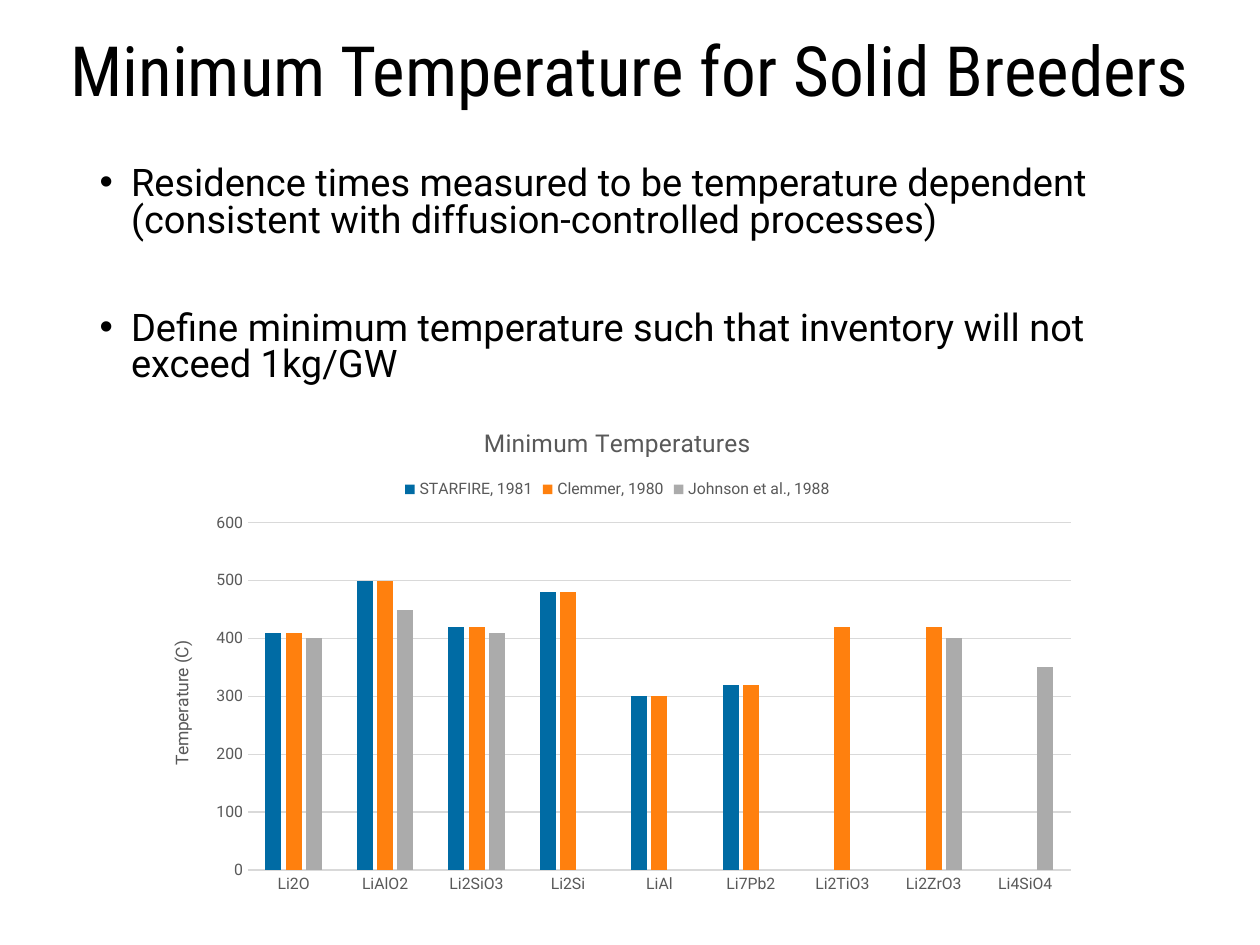
from lxml.etree import SubElement
from pptx import Presentation
from pptx.chart.data import CategoryChartData
from pptx.dml.color import RGBColor
from pptx.enum.chart import XL_CHART_TYPE as ChartType, XL_LEGEND_POSITION as LegendPosition, XL_TICK_MARK as TickMark
from pptx.enum.text import MSO_ANCHOR as Anchor, MSO_AUTO_SIZE as AutoSize, PP_ALIGN as Align
from pptx.oxml.ns import qn
from pptx.util import Inches, Pt

GREY, RULE = "595959", "D9D9D9"


def color(value):
    return RGBColor.from_string(value)


def write(frame, *texts, size, font="Roboto", fill="000000", align=None,
          spacing=None, gap=0, bullet=None):
    """Fill a text frame with one paragraph per text; gap separates paragraphs."""
    for index, text in enumerate(texts):
        paragraph = frame.add_paragraph() if index else frame.paragraphs[0]
        run = paragraph.add_run()
        run.text = text
        paragraph.alignment = align
        paragraph.line_spacing = spacing
        paragraph.space_before = Pt(gap if index else 0)
        if bullet:
            properties = paragraph._p.get_or_add_pPr()
            properties.set("marL", str(Inches(0.25)))
            properties.set("indent", str(Inches(-0.25)))
            SubElement(properties, qn("a:buFont"), typeface="Arial")
            SubElement(properties, qn("a:buChar"), char=bullet)
        run.font.name, run.font.size, run.font.bold = font, Pt(size), False
        run.font.color.rgb = color(fill)


presentation = Presentation()
presentation.slide_width, presentation.slide_height = Inches(10), Inches(7.5)
slide = presentation.slides.add_slide(presentation.slide_layouts[1])

# Title and bullets
title, body = slide.placeholders
title.left, title.top, title.width, title.height = 0, 0, Inches(10), Inches(1.17)
body.left, body.top, body.width, body.height = map(Inches, (0.69, 1.28, 8.62, 2.08))
for placeholder, anchor in ((title, Anchor.MIDDLE), (body, Anchor.TOP)):
    placeholder.text_frame.auto_size = AutoSize.NONE
    placeholder.text_frame.word_wrap = True
    placeholder.text_frame.vertical_anchor = anchor
write(title.text_frame, "Minimum Temperature for Solid Breeders",
      size=39.6, font="Roboto Condensed", align=Align.CENTER, spacing=0.9)
write(body.text_frame,
      "Residence times measured to be temperature dependent (consistent with diffusion-controlled processes)",
      "Define minimum temperature such that inventory will not exceed 1kg/GW",
      size=21.7, align=Align.LEFT, spacing=0.8, gap=41, bullet="•")

# Chart
series_table = [
    ("STARFIRE, 1981", "006BA4", (410, 500, 420, 480, 300, 320, None, None, None)),
    ("Clemmer, 1980", "FF800E", (410, 500, 420, 480, 300, 320, 420, 420, None)),
    ("Johnson et al., 1988", "ABABAB", (400, 450, 410, None, None, None, None, 400, 350)),
]
data = CategoryChartData()
data.categories = ["Li2O", "LiAlO2", "Li2SiO3", "Li2Si", "LiAl", "Li7Pb2",
                   "Li2TiO3", "Li2ZrO3", "Li4SiO4"]
for name, _, values in series_table:
    data.add_series(name, values)
chart = slide.shapes.add_chart(ChartType.COLUMN_CLUSTERED, Inches(1.15), Inches(3.21),
                               Inches(7.5), Inches(3.96), data).chart
chart.font.name, chart.font.size = "Roboto", Pt(10)
chart.has_title = True
write(chart.chart_title.text_frame, "Minimum Temperatures", size=14, fill=GREY)
chart.chart_title.include_in_layout = False

chart.has_legend = True
chart.legend.position = LegendPosition.TOP
chart.legend.include_in_layout = False

plot = chart.plots[0]
plot.gap_width, plot.overlap, plot.vary_by_categories = 219, -27, False
for series, (_, fill, _) in zip(plot.series, series_table):
    series.format.fill.solid()
    series.format.fill.fore_color.rgb = color(fill)

categories, temperatures = chart.category_axis, chart.value_axis
for axis in (categories, temperatures):
    axis.major_tick_mark = axis.minor_tick_mark = TickMark.NONE
for labels in (chart.legend, categories.tick_labels, temperatures.tick_labels):
    labels.font.name, labels.font.size = "Roboto", Pt(9)
    labels.font.color.rgb = color(GREY)
temperatures.minimum_scale, temperatures.maximum_scale, temperatures.major_unit = 0, 600, 100
temperatures.has_major_gridlines = True
for line in (categories.format.line, temperatures.major_gridlines.format.line):
    line.color.rgb = color(RULE)
    line.width = Pt(0.75)
temperatures.format.line.fill.background()
write(temperatures.axis_title.text_frame, "Temperature (C)", size=10, fill=GREY)

presentation.save("out.pptx")
